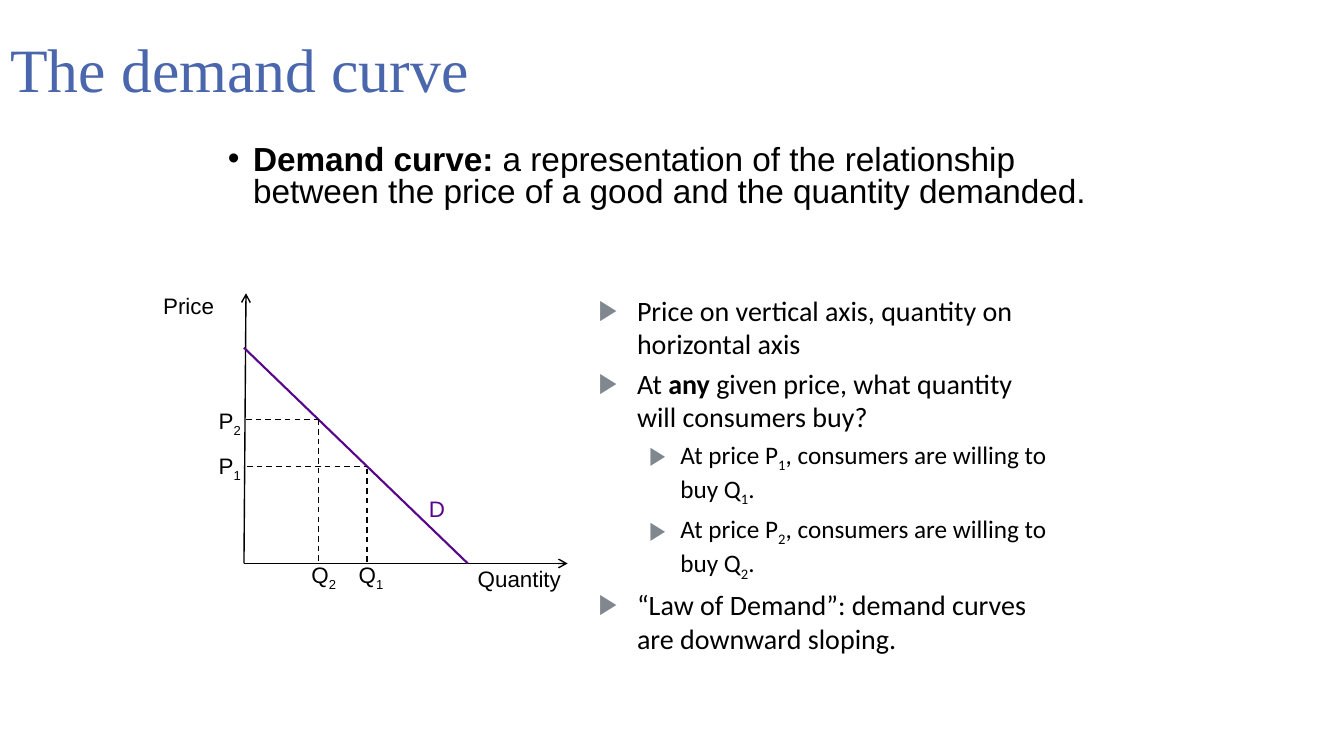
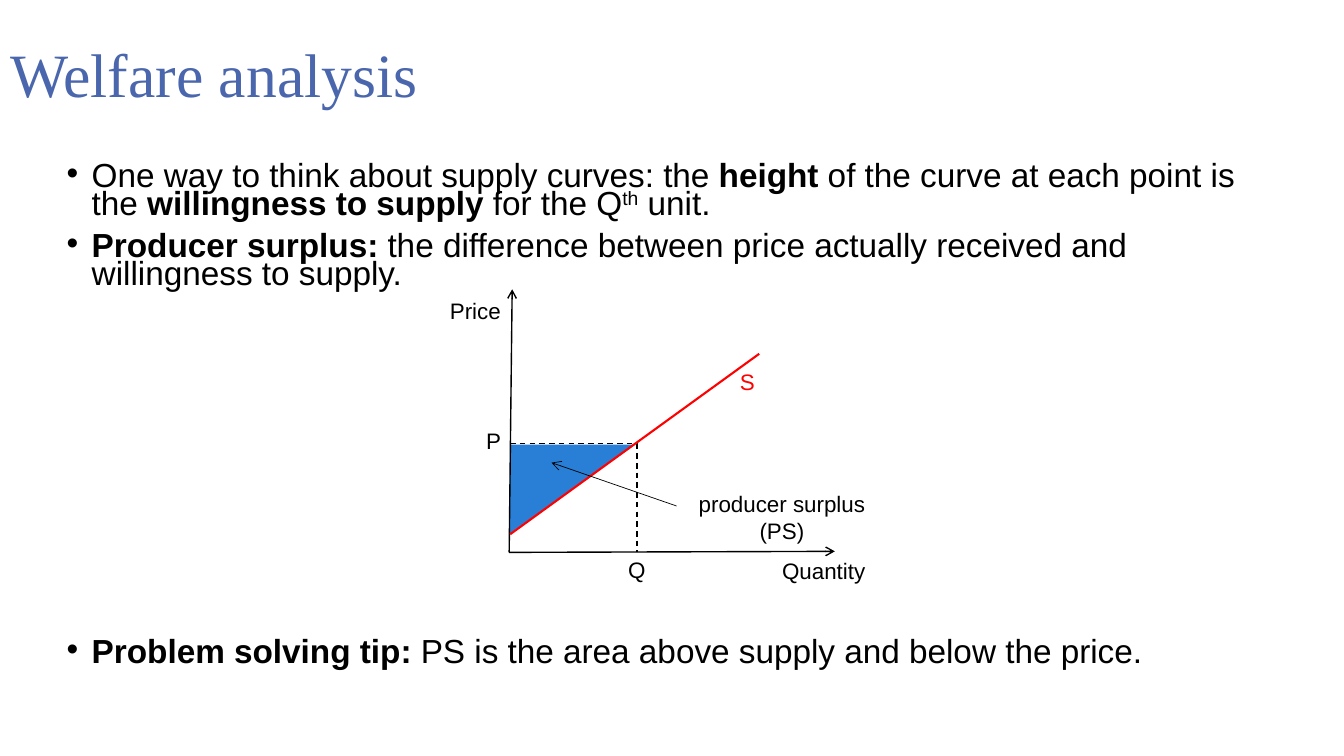
"""Build two slides on the demand curve and on producer surplus."""
from lxml.etree import SubElement
from pptx import Presentation
from pptx.dml.color import RGBColor
from pptx.enum.dml import MSO_LINE
from pptx.enum.shapes import MSO_CONNECTOR, MSO_SHAPE
from pptx.enum.text import MSO_ANCHOR, MSO_AUTO_SIZE, PP_ALIGN
from pptx.oxml.ns import qn
from pptx.util import Inches, Pt

BLACK, TITLE, DEMAND, SUPPLY = "000000", "4A66AC", "57068C", "FF0000"
AREA, MARK = "297FD5", "80878F"
BASE = {"_": "-25000", "^": "30000"}
LEFT, MID = PP_ALIGN.LEFT, PP_ALIGN.CENTER


def write(frame, text, size=16, font="Arial", hue=BLACK, align=LEFT,
          space=None, before=0, level=0, bullet=None, tint=BLACK,
          left=0, hang=0):
    """Add a paragraph; parts split by | may start with * bold, _ sub, ^ super."""
    para = frame.add_paragraph() if frame.text else frame.paragraphs[0]
    para.alignment, para.level = align, level
    para.space_before = Pt(before)
    if space:
        para.line_spacing = space
    if bullet:
        props = para._p.get_or_add_pPr()
        props.set("marL", str(Inches(left)))
        props.set("indent", str(-Inches(hang)))
        SubElement(SubElement(props, qn("a:buClr")), qn("a:srgbClr"), val=tint)
        SubElement(props, qn("a:buFont"), typeface="Arial")
        SubElement(props, qn("a:buChar"), char=bullet)
    for part in text.split("|"):
        sign = part[0] if part[0] in "*_^" else ""
        run = para.add_run()
        run.text = part[len(sign):]
        run.font.size, run.font.name = Pt(size), font
        run.font.bold = sign == "*"
        run.font.color.rgb = RGBColor.from_string(hue)
        if sign in BASE:
            run.font._element.set("baseline", BASE[sign])


def draw(slide, ends, hue=BLACK, width=1, dash=False, arrow=False):
    """Draw a straight line from the first point to the second."""
    line = slide.shapes.add_connector(
        MSO_CONNECTOR.STRAIGHT, *[Inches(n) for n in ends])
    line.line.color.rgb = RGBColor.from_string(hue)
    line.line.width = Pt(width)
    if dash:
        line.line.dash_style = MSO_LINE.DASH
    if arrow:
        SubElement(line.line._get_or_add_ln(), qn("a:tailEnd"), type="arrow")
    SubElement(line._element.spPr, qn("a:effectLst"))


deck = Presentation()
deck.slide_width, deck.slide_height = Inches(13.33), Inches(7.5)

point = dict(size=23.8, bullet="•", left=0.25, hang=0.25, before=10)
axis, guide = dict(arrow=True), dict(dash=True)

pages = [
    dict(
        title="The demand curve", top=-0.01,
        body=(2.16, 1.4, 9, 0.9), space=0.8,
        points=[("*Demand curve:| a representation of the relationship between "
                 "the price of a good and the quantity demanded.", 10)],
        lines=[((2.42, 5.59, 2.44, 2.91), axis),
               ((2.42, 5.59, 5.63, 5.59), axis),
               ((2.42, 3.45, 4.64, 5.59), dict(hue=DEMAND, width=1.5)),
               ((3.64, 4.65, 3.64, 5.59), guide),
               ((2.45, 4.63, 3.64, 4.63), guide),
               ((2.44, 4.16, 3.16, 4.16), guide),
               ((3.16, 4.16, 3.16, 5.59), guide)],
        labels=[("Price", 1.52, 2.85, 0.97, {}),
                ("Quantity", 4.64, 5.56, 1.24, {}),
                ("P|_1", 2.07, 4.44, 0.5, {}),
                ("P|_2", 2.07, 3.99, 0.5, {}),
                ("Q|_1", 3.46, 5.52, 0.5, {}),
                ("Q|_2", 2.99, 5.52, 0.5, {}),
                ("D", 4.12, 4.86, 0.43, dict(hue=DEMAND, align=MID))]),
    dict(
        title="Welfare analysis", top=0.04,
        body=(0.56, 1.59, 11.85, 5.17), space=0.7,
        points=[("One way to think about supply curves: the |*height| of the "
                 "curve at each point is the|* willingness to supply |for the "
                 "Q|^th| unit.", 10),
                ("*Producer surplus: |the difference between price actually "
                 "received and willingness to supply.", 10),
                ("*Problem solving tip:| PS is the area above supply and below "
                 "the price.", 250)],
        area=(5.24, 4.23, 0.88, 1.24),
        lines=[((5.05, 5.48, 5.08, 2.87), axis),
               ((5.05, 5.48, 8.28, 5.47), axis),
               ((5.06, 4.4, 6.32, 4.4), guide),
               ((6.32, 4.4, 6.32, 5.48), guide),
               ((5.06, 5.3, 7.53, 3.51), dict(hue=SUPPLY, width=1.5)),
               ((6.71, 5.02, 5.47, 4.59), dict(width=0.5, arrow=True))],
        labels=[("Price", 4.31, 2.9, 0.81, dict(align=MID)),
                ("Quantity", 7.46, 5.48, 1.42, dict(align=MID)),
                ("P", 4.72, 4.19, 0.35, dict(align=MID)),
                ("Q", 6.11, 5.47, 0.41, dict(align=MID)),
                ("producer surplus (PS)", 6.63, 4.81, 2.25, dict(align=MID)),
                ("S", 7.24, 3.6, 0.51, dict(hue=SUPPLY))]),
]

for page in pages:
    slide = deck.slides.add_slide(deck.slide_layouts[1])
    title, body = slide.placeholders
    spots = [(title, (0, page["top"], 11.5, 1.45)), (body, page["body"])]
    for box, spot in spots:
        box.left, box.top, box.width, box.height = [Inches(n) for n in spot]
        box.text_frame.auto_size = MSO_AUTO_SIZE.NONE
    title.text_frame.vertical_anchor = MSO_ANCHOR.MIDDLE
    write(title.text_frame, page["title"], size=44, font="Times New Roman",
          hue=TITLE, space=0.9)
    for text, before in page["points"]:
        write(body.text_frame, text, space=page["space"],
              **{**point, "before": before})

    if "area" in page:
        area = slide.shapes.add_shape(
            MSO_SHAPE.RIGHT_TRIANGLE, *[Inches(n) for n in page["area"]])
        area.rotation = 90
        area.shadow.inherit = False
        area.fill.solid()
        area.fill.fore_color.rgb = RGBColor.from_string(AREA)
        area.line.fill.background()
    for ends, style in page["lines"]:
        draw(slide, ends, **style)
    for text, left, top, width, style in page["labels"]:
        label = slide.shapes.add_textbox(
            Inches(left), Inches(top), Inches(width), Inches(0.37))
        label.text_frame.word_wrap = True
        write(label.text_frame, text, **style)

notes = deck.slides[0].shapes.add_textbox(
    Inches(5.84), Inches(2.86), Inches(4.66), Inches(3.79)).text_frame
notes.word_wrap = True
main = dict(size=20, left=0.38, hang=0.38)
sub = dict(size=18, left=0.81, hang=0.31, level=1)
for text, style in [
        ("Price on vertical axis, quantity on horizontal axis", main),
        ("At |*any| given price, what quantity will consumers buy?", main),
        ("At price P|_1|, consumers are willing to buy Q|_1|.", sub),
        ("At price P|_2|, consumers are willing to buy Q|_2|.", sub),
        ("“Law of Demand”: demand curves are downward sloping.", main)]:
    write(notes, text, font="Calibri", bullet="▶", tint=MARK, before=4, **style)

deck.save("out.pptx")
